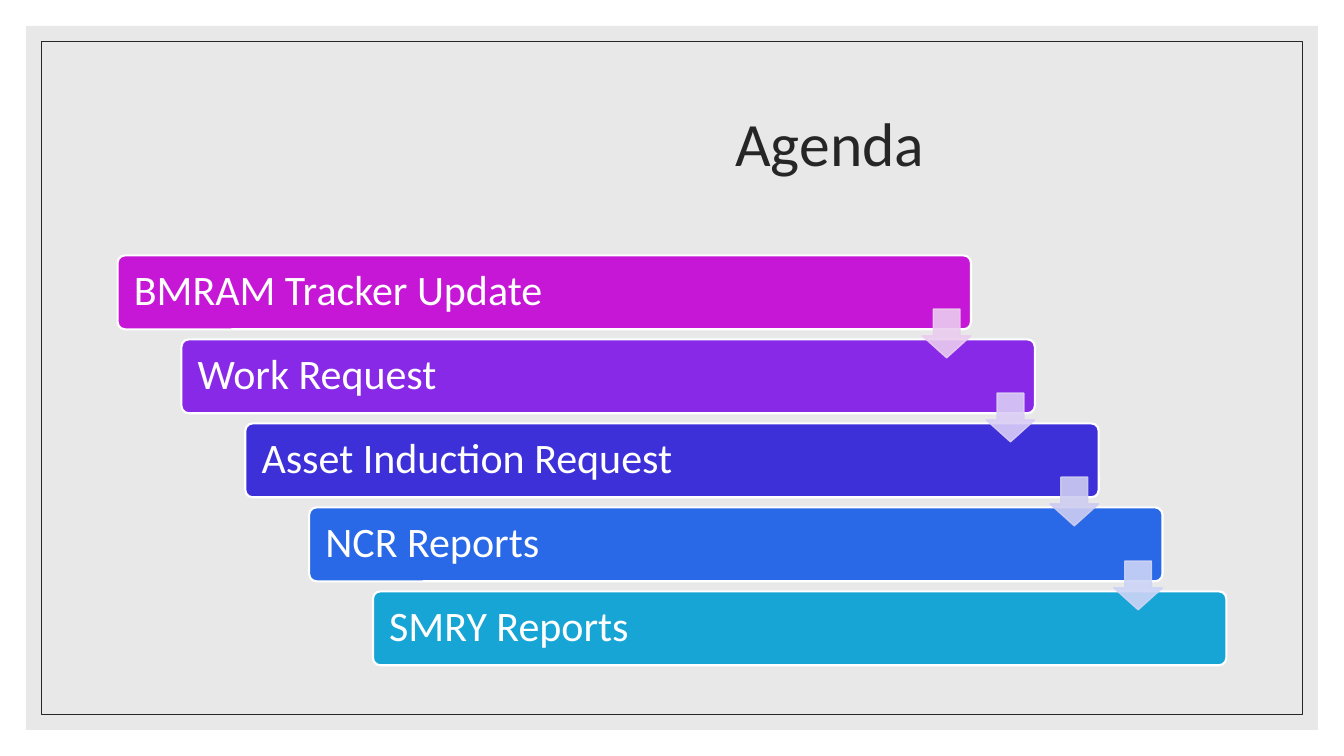
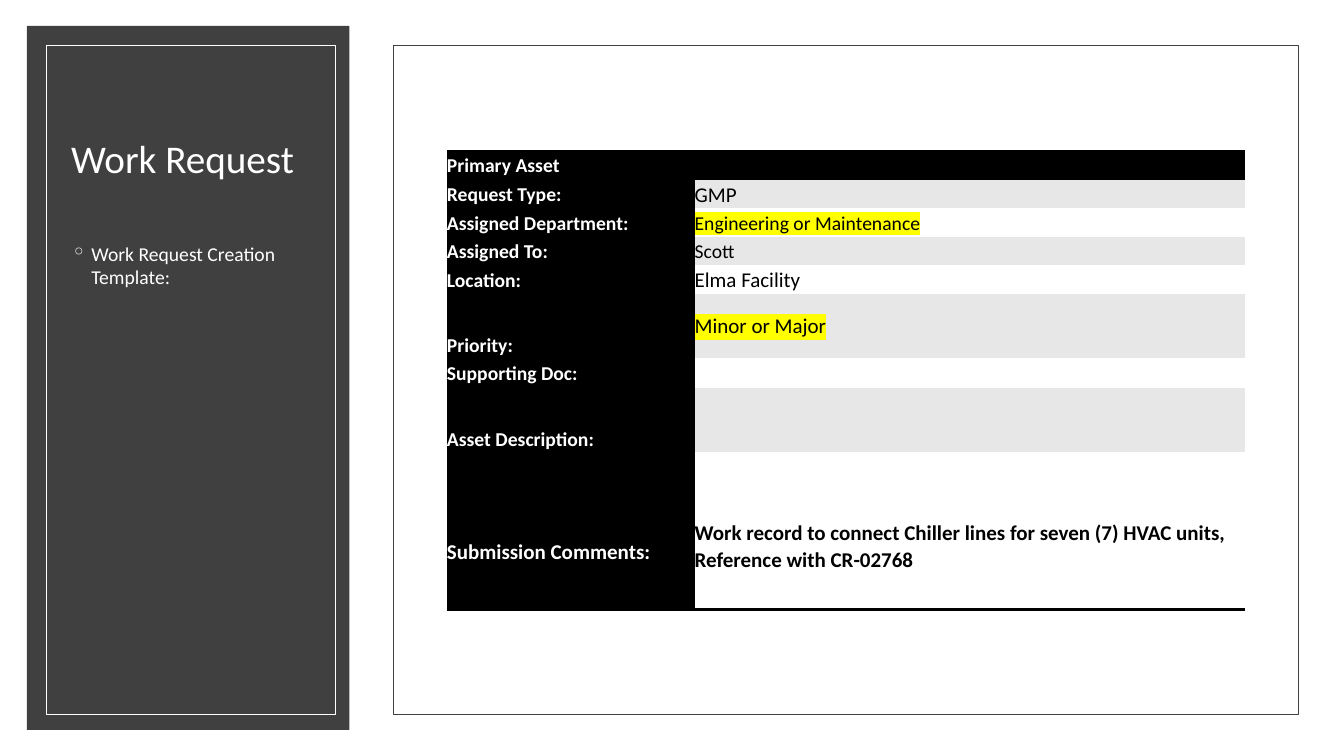
import lxml.etree
import pptx
import pptx.dml.color
import pptx.enum.shapes
import pptx.enum.text
import pptx.oxml.ns
import pptx.util

# Grid: 80 columns by 45 rows of square cells, six to the inch
COLUMNS, ROWS, CELLS_PER_INCH = 80, 45, 6
FONT = "Calibri"
COLORS = {
    "white": "FFFFFF", "black": "000000", "ink": "262626", "dark": "404040",
    "mist": "D9D9D9", "stripe": "E7E7E7", "yellow": "FFFF00",
}
PLAIN_TABLE_STYLE = "{2D5ABB26-0587-4C30-8999-92F81FD0307C}"
SHAPES = pptx.enum.shapes.MSO_SHAPE
ALIGN = pptx.enum.text.PP_ALIGN
ANCHOR = pptx.enum.text.MSO_ANCHOR

# Agenda step, bar colour, colour of the arrow to the next step
AGENDA = [
    ("BMRAM Tracker Update", "C517D5", "EACCEF"),
    ("Work Request", "8829E7", "DACDF6"),
    ("Asset Induction Request", "3E30D9", "CECDF1"),
    ("NCR Reports", "2968E7", "CDD4F6"),
    ("SMRY Reports", "17A5D5", None),
]

# Row height, label, value
REQUEST_FIELDS = [
    (1.8, "Primary Asset", ""),
    (1.7, "Request Type:", "GMP"),
    (1.7, "Assigned Department:", "Engineering or Maintenance"),
    (1.7, "Assigned To:", "Scott"),
    (1.7, "Location:", "Elma Facility"),
    (3.8, "Priority:", "Minor or Major"),
    (1.8, "Supporting Doc:", ""),
    (3.8, "Asset Description:", ""),
    (9.4, "Submission Comments:",
     "Work record to connect Chiller lines for seven (7) HVAC units, "
     "Reference with CR-02768"),
]
HIGHLIGHTED = {"Engineering or Maintenance", "Minor or Major"}


def cells(count):
    return pptx.util.Inches(count / CELLS_PER_INCH)


def rgb(color):
    return pptx.dml.color.RGBColor.from_string(COLORS.get(color, color))


def add_xml(parent, tag, **attributes):
    return lxml.etree.SubElement(parent, pptx.oxml.ns.qn(tag), attributes)


class Deck:
    def __init__(self):
        self.deck = pptx.Presentation()
        self.deck.slide_width = cells(COLUMNS)
        self.deck.slide_height = cells(ROWS)
        self.page = None

    def add_page(self):
        self.page = self.deck.slides.add_slide(self.deck.slide_layouts[6])
        fill = self.page.background.fill
        fill.solid()
        fill.fore_color.rgb = rgb("white")

    def set_text(self, para, text, size, color, bold=False, spacing=1.0):
        para.font.name = FONT
        para.font.size = pptx.util.Pt(size)
        para.font.bold = bold
        para.font.color.rgb = rgb(color)
        para.line_spacing = spacing
        if text:
            span = para.add_run()
            span.text = text
            return span

    def shape(self, kind, area, fill=None, line=None, width=0.5, opacity=None):
        box = self.page.shapes.add_shape(kind, *map(cells, area))
        box.shadow.inherit = False
        if fill:
            box.fill.solid()
            box.fill.fore_color.rgb = rgb(fill)
        else:
            box.fill.background()
        if line:
            box.line.color.rgb = rgb(line)
            box.line.width = pptx.util.Pt(width)
        else:
            box.line.fill.background()
        if opacity:
            for color in box._element.spPr.iter(pptx.oxml.ns.qn("a:srgbClr")):
                add_xml(color, "a:alpha", val=str(opacity * 1000))
        return box

    def panel(self, area, **style):
        return self.shape(SHAPES.RECTANGLE, area, **style)

    def text(self, area, text, size, color, align=ALIGN.LEFT,
             anchor=ANCHOR.TOP, spacing=1.0):
        box = self.page.shapes.add_textbox(*map(cells, area))
        frame = box.text_frame
        frame.word_wrap = True
        frame.vertical_anchor = anchor
        para = frame.paragraphs[0]
        para.alignment = align
        self.set_text(para, text, size, color, spacing=spacing)
        return para

    def title(self, area, text, size, color, align, anchor):
        self.text(area, text, size, color, align, anchor, spacing=0.9)

    def bullet(self, area, text, size, color):
        para = self.text(area, text, size, color)
        indent = cells(1.2)
        properties = para._p.get_or_add_pPr()
        properties.set("marL", str(indent))
        properties.set("indent", str(-indent))
        mark = lxml.etree.Element(pptx.oxml.ns.qn("a:buChar"), {"char": "◦"})
        properties.find(pptx.oxml.ns.qn("a:defRPr")).addprevious(mark)

    def bar(self, area, text, fill):
        box = self.shape(SHAPES.ROUNDED_RECTANGLE, area, fill, "white", 1.5)
        box.adjustments[0] = 0.1
        frame = box.text_frame
        frame.margin_left = cells(0.84)
        frame.vertical_anchor = ANCHOR.MIDDLE
        para = frame.paragraphs[0]
        para.alignment = ALIGN.LEFT
        self.set_text(para, text, 30, "white", spacing=0.9)

    def arrow(self, area, color):
        box = self.shape(SHAPES.DOWN_ARROW, area, color, color, 1, opacity=90)
        box.adjustments[0] = 0.55
        box.adjustments[1] = 0.45

    def table(self, left, top, widths, heights):
        frame = self.page.shapes.add_table(
            len(heights), len(widths), cells(left), cells(top),
            cells(sum(widths)), cells(sum(heights)))
        table = frame.table
        style = table._tbl.tblPr.find(pptx.oxml.ns.qn("a:tableStyleId"))
        style.text = PLAIN_TABLE_STYLE
        for column, width in zip(table.columns, widths):
            column.width = cells(width)
        for row, height in zip(table.rows, heights):
            row.height = cells(height)
        return table

    def cell(self, cell, text, fill, size, color, bold=False,
             anchor=ANCHOR.MIDDLE, top=0, underlined=False):
        cell.margin_left = cell.margin_right = cell.margin_bottom = 0
        cell.margin_top = cells(top)
        cell.vertical_anchor = anchor
        if underlined:
            edge = add_xml(cell._tc.get_or_add_tcPr(), "a:lnB", w="25400")
            add_xml(add_xml(edge, "a:solidFill"), "a:srgbClr",
                    val=COLORS["black"])
        cell.fill.solid()
        cell.fill.fore_color.rgb = rgb(fill)
        para = cell.text_frame.paragraphs[0]
        span = self.set_text(para, text, size, color, bold, spacing=1.07)
        if text in HIGHLIGHTED:
            mark = add_xml(span._r.get_or_add_rPr(), "a:highlight")
            add_xml(mark, "a:srgbClr", val=COLORS["yellow"])


def add_agenda(deck):
    deck.add_page()
    # Framed panel
    for inset, style in ((1.55, {"fill": "mist", "opacity": 60}),
                         (2.45, {"line": "ink"})):
        deck.panel((inset, inset, COLUMNS - 2 * inset, ROWS - 2 * inset),
                   **style)
    deck.title((25.8, 4.2, 47.2, 9), "Agenda", 44, "ink",
               ALIGN.CENTER, ANCHOR.MIDDLE)

    # Staircase of bars, then the arrows that lie over them
    bar_width, bar_height, arrow_size = 50.8, 4.4, 2.9
    corners = [(7 + 3.8 * step, 15.2 + 5 * step) for step in range(len(AGENDA))]
    for (left, top), (text, fill, _) in zip(corners, AGENDA):
        deck.bar((left, top, bar_width, bar_height), text, fill)
    for (left, top), (_, _, color) in zip(corners, AGENDA):
        if color:
            deck.arrow((left + bar_width - arrow_size, top + 3.2,
                        arrow_size, arrow_size), color)


def add_work_request(deck):
    deck.add_page()
    # Sidebar
    deck.panel((1.6, 1.55, 19.2, 41.9), fill="dark")
    deck.panel((2.75, 2.7, 17.2, 39.8), line="white")
    deck.title((3.65, 4, 15.2, 7.1), "Work Request", 28, "white",
               ALIGN.LEFT, ANCHOR.BOTTOM)
    deck.bullet((3.65, 14.1, 15.2, 25.3), "Work Request Creation Template:",
                14, "white")

    # Request form
    deck.panel((23.4, 2.7, 53.9, 39.8), line="dark")
    table = deck.table(26.6, 8.9, (14.75, 32.75),
                       [height for height, _, _ in REQUEST_FIELDS])
    last = len(REQUEST_FIELDS) - 1
    for index, (height, label, value) in enumerate(REQUEST_FIELDS):
        closing = index == last
        tall = height > 3 and not closing
        deck.cell(table.cell(index, 0), label, "black", 15 if closing else 14,
                  "white", bold=True, top=2.5 if closing else 0,
                  anchor=ANCHOR.BOTTOM if tall else ANCHOR.MIDDLE,
                  underlined=closing)
        if index == 0:
            fill = "black"
        else:
            fill = "stripe" if index % 2 else "white"
        size = 14 if value in ("Engineering or Maintenance", "Scott") else 15
        deck.cell(table.cell(index, 1), value, fill, size, "black",
                  bold=closing, top=1.8 if closing else 0, underlined=closing)


def main():
    deck = Deck()
    add_agenda(deck)
    add_work_request(deck)
    deck.deck.save("out.pptx")


if __name__ == "__main__":
    main()
